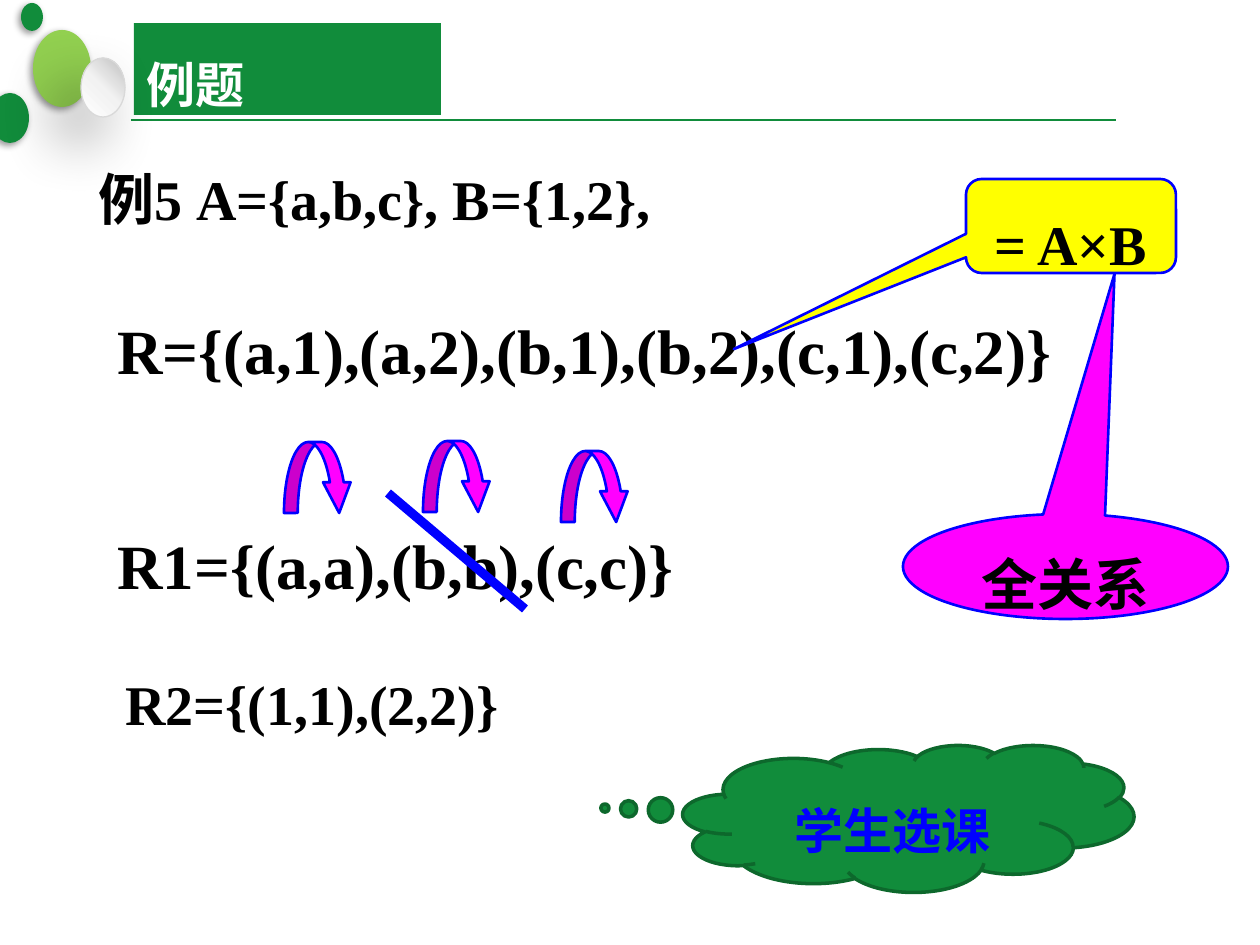
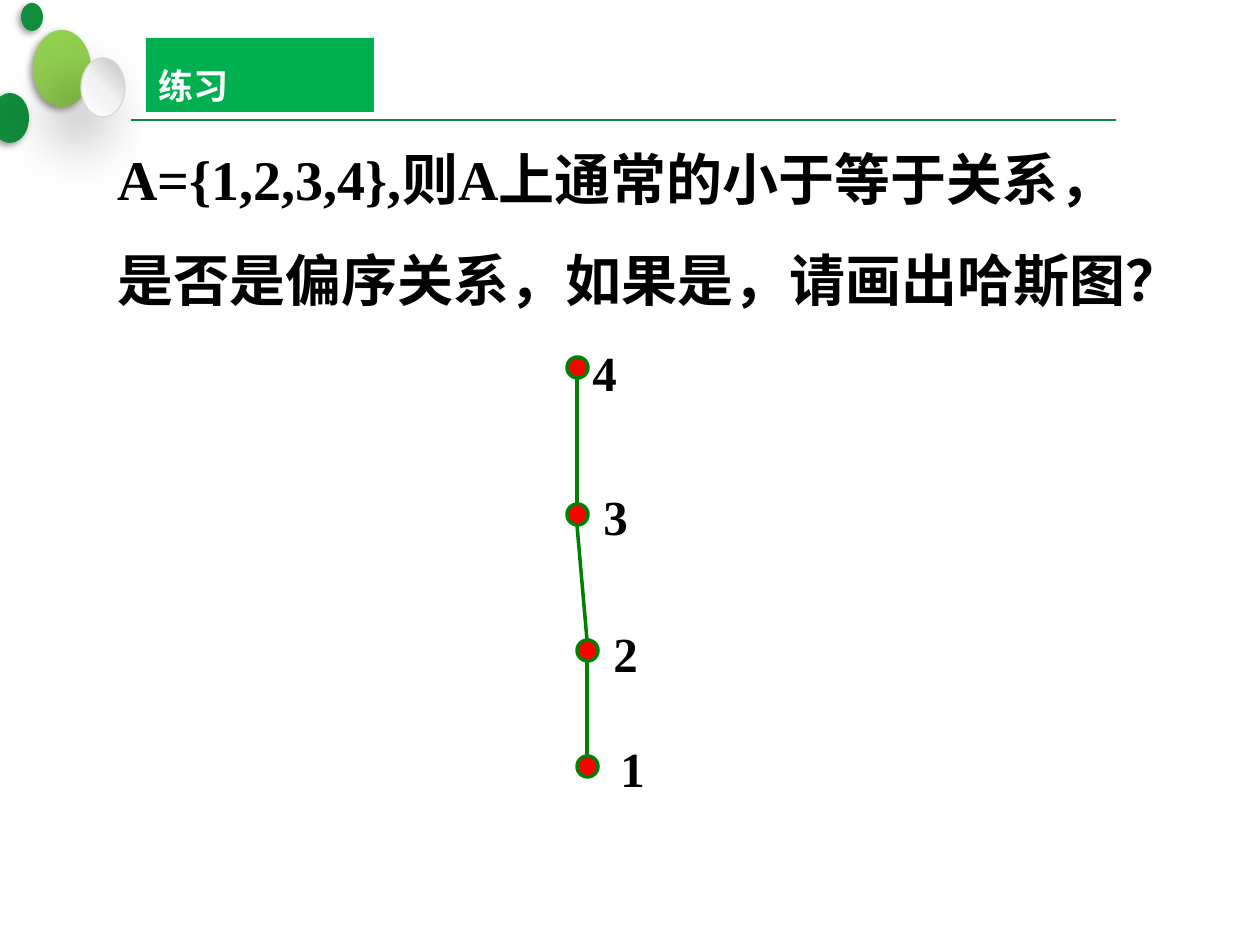
from copy import deepcopy

from lxml import etree
from pptx import Presentation
from pptx import util as u
from pptx.dml import color
from pptx.enum import shapes, text
from pptx.oxml import ns

SCALE = 914400 / 126
GREEN, BLUE, MAGENTA, RED = "118C3B", "0000FF", "FF00FF", "FF0000"
BLACK, WHITE, EDGE = "000000", "FFFFFF", "008000"
SERIF, SANS = "Times New Roman", "Noto Sans CJK SC"
SHAPE, ALIGN = shapes.MSO_SHAPE, text.PP_ALIGN


def px(*lengths):
    return [u.Emu(round(n * SCALE)) for n in lengths]


def rgb(value):
    return color.RGBColor.from_string(value)


def child(parent, tag, **attributes):
    return etree.SubElement(parent, ns.qn(tag), attributes)


class Deck:
    def __init__(self):
        self.prs = Presentation()
        self.prs.slide_width, self.prs.slide_height = px(1260, 945)
        self.slide = None

    def new_slide(self, title, box, size, fill):
        self.slide = self.prs.slides.add_slide(self.prs.slide_layouts[5])
        self.line((131, 120), (1116, 120), GREEN, 1.25)
        self.ball((33, 30, 58, 77), "92D050")
        self.ball((-9, 93, 38, 50), GREEN)
        pearl = self.ball((81, 58, 44, 59), WHITE, 35, 20)
        self.outline(pearl, "D9D9D9", 0.75)
        self.gradient(pearl, [(0, WHITE), (0.5, "F2F2F2"), (1, "BFBFBF")])
        self.ball((21, 3, 22, 28), GREEN)
        self.title(title, box, size, fill)

    def title(self, words, box, size, fill):
        s = self.slide.shapes.title
        s.left, s.top, s.width, s.height = px(*box)
        child(child(s._element.spPr, "a:prstGeom", prst="chevron"), "a:avLst")
        s.fill.solid()
        s.fill.fore_color.rgb = rgb(fill)
        tf = s.text_frame
        tf.word_wrap = True
        tf.auto_size = text.MSO_AUTO_SIZE.NONE
        tf.vertical_anchor = text.MSO_ANCHOR.MIDDLE
        self.paragraph(tf.paragraphs[0], words, size, WHITE, font=SANS)

    def paragraph(self, p, words, size, ink=BLACK, align=ALIGN.LEFT, spacing=1.5, font=SERIF):
        p.alignment = align
        p.line_spacing = spacing
        r = p.add_run()
        r.text = words
        r.font.size = u.Pt(size)
        r.font.bold = True
        r.font.color.rgb = rgb(ink)
        r.font.name = font
        child(r._r.get_or_add_rPr(), "a:ea", typeface=SANS)

    def textbox(self, lines, box, size=32, spacing=1.5, wrap=True):
        tf = self.slide.shapes.add_textbox(*px(*box)).text_frame
        tf.word_wrap = wrap
        tf.auto_size = text.MSO_AUTO_SIZE.SHAPE_TO_FIT_TEXT
        for i, words in enumerate(lines):
            p = tf.add_paragraph() if i else tf.paragraphs[0]
            self.paragraph(p, words, size, spacing=spacing)

    def outline(self, s, ink, width):
        s.line.color.rgb = rgb(ink)
        s.line.width = u.Pt(width)

    def shape(self, kind, box, fill, ink=None, width=1.5, adjust=()):
        s = self.slide.shapes.add_shape(kind, *px(*box))
        s.shadow.inherit = False
        s.fill.solid()
        s.fill.fore_color.rgb = rgb(fill)
        if ink:
            self.outline(s, ink, width)
        else:
            s.line.fill.background()
        for i, value in enumerate(adjust):
            s.adjustments[i] = value
        return s

    def callout(self, kind, box, fill, adjust, words, ink=BLUE, width=1.5, size=32, text_ink=BLACK):
        tf = self.shape(kind, box, fill, ink, width, adjust).text_frame
        tf.word_wrap = True
        tf.vertical_anchor = text.MSO_ANCHOR.MIDDLE
        self.paragraph(tf.paragraphs[0], words, size, text_ink, ALIGN.CENTER)

    def ball(self, box, fill, blur=4, distance=2):
        s = self.shape(SHAPE.OVAL, box, fill)
        effects = s._element.spPr.find(ns.qn("a:effectLst"))
        shadow = child(effects, "a:outerShdw", blurRad=str(u.Pt(blur)), dist=str(u.Pt(distance)),
                       dir=str(135 * 60000), algn="tr", rotWithShape="0")
        child(child(shadow, "a:srgbClr", val=BLACK), "a:alpha", val="40000")
        return s

    def gradient(self, s, stops):
        s.fill.gradient()
        s.fill.gradient_angle = 45
        gs_list = s._element.spPr.find(".//" + ns.qn("a:gsLst"))
        gs_list.insert(1, deepcopy(gs_list[0]))
        for stop, (position, ink) in zip(s.fill.gradient_stops, stops):
            stop.position = position
            stop.color.rgb = rgb(ink)

    def line(self, start, end, ink, width):
        s = self.slide.shapes.add_connector(shapes.MSO_CONNECTOR.STRAIGHT, *px(*start, *end))
        self.outline(s, ink, width)
        child(s._element.spPr, "a:effectLst")


def example(deck):
    deck.new_slide("例题", (134, 23, 307, 92), 28, GREEN)
    deck.textbox(["例5 A={a,b,c}, B={1,2},"], (86, 158, 796, 79), spacing=1)
    deck.textbox(["R={(a,1),(a,2),(b,1),(b,2),(c,1),(c,2)}"], (105, 305, 969, 89), 36, 1, False)
    deck.callout(SHAPE.ROUNDED_RECTANGULAR_CALLOUT, (966, 179, 210, 94), "FFFF00",
                 (-1.606, 1.31, 0.167), "= A×B")
    deck.callout(SHAPE.OVAL_CALLOUT, (903, 514, 325, 105), MAGENTA, (0.151, -2.788), "全关系")
    deck.textbox(["R1={(a,a),(b,b),(c,c)}"], (105, 483, 684, 127), 36)
    for x, y in [(423, 441), (561, 451), (284, 442)]:
        deck.shape(SHAPE.CURVED_DOWN_ARROW, (x, y, 69, 71), MAGENTA, BLUE, adjust=(0.2, 0.4, 0.445))
    deck.textbox(["R2={(1,1),(2,2)}"], (113, 630, 621, 115))
    deck.line((388, 493), (525, 609), BLUE, 5.25)
    deck.callout(SHAPE.CLOUD_CALLOUT, (683, 745, 451, 147), GREEN, (-0.673, -0.071),
                 "学生选课", "0D682C", 2, 28, BLUE)


def exercise(deck):
    deck.new_slide("练习", (146, 38, 228, 74), 20, "00B050")
    deck.textbox(["A={1,2,3,4},则A上通常的小于等于关系，", "是否是偏序关系，如果是，请画出哈斯图？"],
                 (105, 105, 1100, 217), wrap=False)
    dot = 21
    nodes = [("4", 567, 357, 580, 307), ("3", 567, 504, 591, 451),
             ("2", 577, 640, 601, 588), ("1", 577, 756, 608, 703)]
    for name, x, y, label_x, label_y in nodes:
        deck.shape(SHAPE.OVAL, (x, y, dot, dot), RED, EDGE, 2)
        deck.textbox([name], (label_x, label_y, 50, 92), 28, wrap=False)
    for (_, x1, y1, *_), (_, x2, y2, *_) in zip(nodes, nodes[1:]):
        deck.line((x1 + dot // 2, y1 + dot), (x2 + dot // 2, y2), EDGE, 2)


def main():
    deck = Deck()
    example(deck)
    exercise(deck)
    deck.prs.save("out.pptx")


if __name__ == "__main__":
    main()
